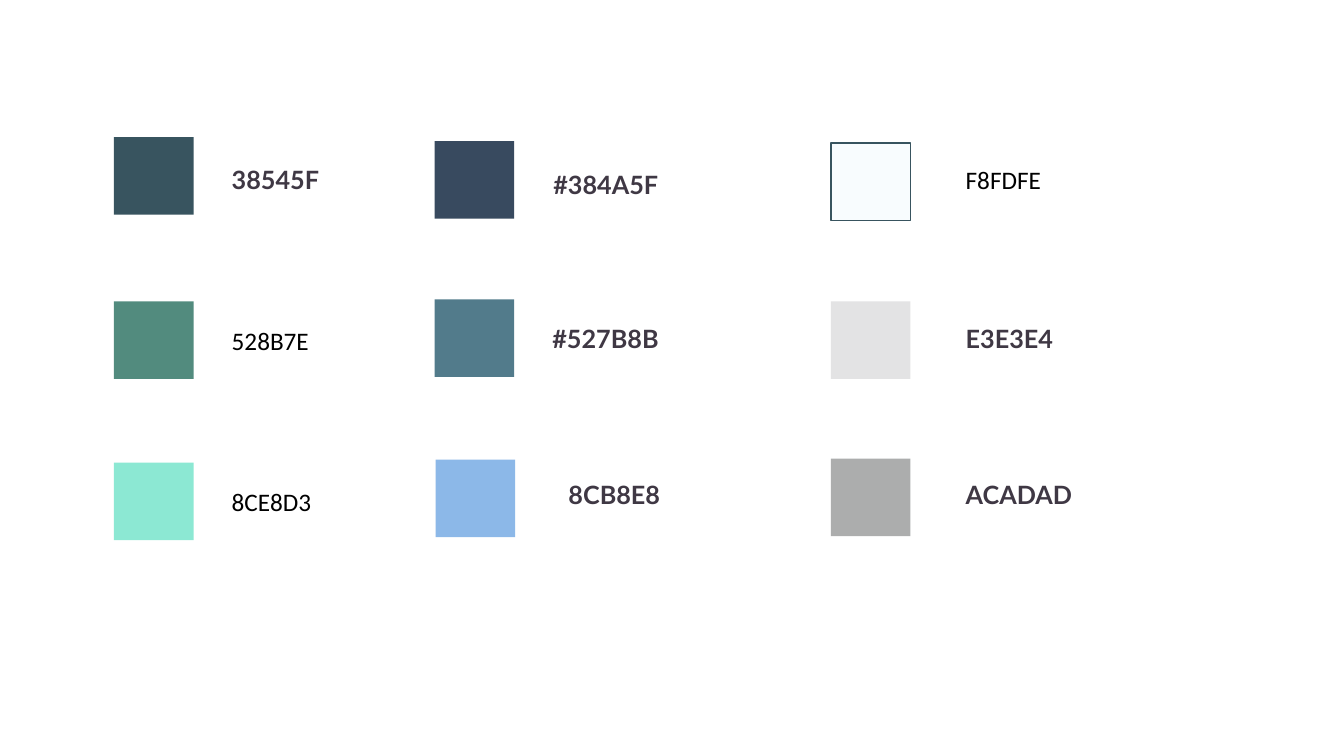
from dataclasses import dataclass

from pptx import Presentation
from pptx.dml.color import RGBColor
from pptx.enum.shapes import MSO_SHAPE
from pptx.enum.text import MSO_AUTO_SIZE
from pptx.util import Inches, Pt


@dataclass(frozen=True)
class Theme:
    ink: str = "3F3844"
    plain_ink: str = "000000"
    outline: str = "38545F"
    bold_font: str = "Lato"
    plain_font: str = "Calibri"
    size: int = 18


THEME = Theme()
SWATCH_W, SWATCH_H, LABEL_H = 0.79, 0.77, 0.4
PLAIN = {"528B7E", "8CE8D3", "F8FDFE"}
OUTLINED = {"F8FDFE"}
FILLS = {"F8FDFE": "F8FCFE"}

# label, swatch left and top, label left, top and width
SWATCHES = [
    ("38545F", 1.13, 1.36, 2.2, 1.58, 1.22),
    ("528B7E", 1.13, 2.99, 2.2, 3.18, 1.22),
    ("8CE8D3", 1.13, 4.59, 2.2, 4.78, 1.45),
    ("#384A5F", 4.31, 1.4, 5.39, 1.63, 1.3),
    ("#527B8B", 4.31, 2.97, 5.38, 3.16, 1.33),
    ("8CB8E8", 4.32, 4.56, 5.54, 4.71, 1.37),
    ("F8FDFE", 8.24, 1.42, 9.48, 1.58, 1.34),
    ("E3E3E4", 8.24, 2.99, 9.48, 3.16, 1.34),
    ("ACADAD", 8.24, 4.55, 9.48, 4.71, 1.34),
]


def add_swatch(s, label, left, top):
    sp = s.shapes.add_shape(MSO_SHAPE.RECTANGLE, Inches(left), Inches(top),
                            Inches(SWATCH_W), Inches(SWATCH_H))
    sp.shadow.inherit = False
    sp.fill.solid()
    sp.fill.fore_color.rgb = RGBColor.from_string(FILLS.get(label, label.lstrip("#")))
    if label in OUTLINED:
        sp.line.color.rgb = RGBColor.from_string(THEME.outline)
        sp.line.width = Pt(1)
    else:
        sp.line.fill.background()


def add_label(s, label, left, top, width):
    plain = label in PLAIN
    tf = s.shapes.add_textbox(Inches(left), Inches(top),
                              Inches(width), Inches(LABEL_H)).text_frame
    tf.word_wrap = True
    tf.auto_size = MSO_AUTO_SIZE.SHAPE_TO_FIT_TEXT
    p = tf.paragraphs[0]
    p.text = label
    p.font.size = Pt(THEME.size)
    p.font.name = THEME.plain_font if plain else THEME.bold_font
    p.font.bold = not plain
    p.font.color.rgb = RGBColor.from_string(THEME.plain_ink if plain else THEME.ink)


def main():
    prs = Presentation()
    prs.slide_width, prs.slide_height = Inches(13.33), Inches(7.5)
    s = prs.slides.add_slide(prs.slide_layouts[6])
    for label, left, top, *label_box in SWATCHES:
        add_swatch(s, label, left, top)
        add_label(s, label, *label_box)
    prs.save("out.pptx")


if __name__ == "__main__":
    main()
